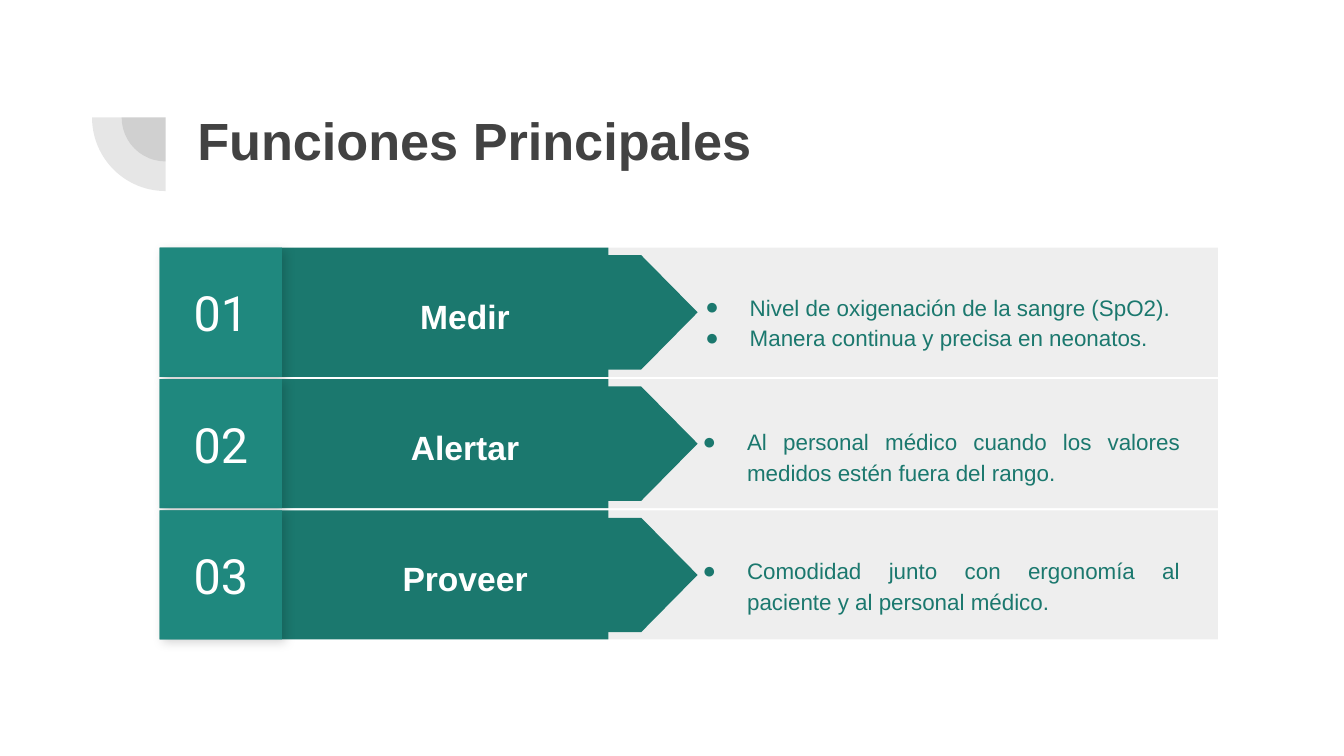
import dataclasses

import lxml.etree
import pptx
import pptx.dml.color
import pptx.enum.shapes
import pptx.enum.text
import pptx.oxml
import pptx.oxml.ns
import pptx.util

Cm = pptx.util.Cm
Pt = pptx.util.Pt
SHAPE = pptx.enum.shapes.MSO_SHAPE
ALIGN = pptx.enum.text.PP_ALIGN
ANCHOR = pptx.enum.text.MSO_ANCHOR
qn = pptx.oxml.ns.qn


@dataclasses.dataclass(frozen=True)
class Theme:
    dark: str = "424242"
    panel: str = "EEEEEE"
    band: str = "1B786E"
    badge: str = "1F887E"
    badge_base: str = "1D7E74"
    light: str = "FFFFFF"
    font: str = "Arial"
    number_font: str = "Roboto"
    title_size: int = 28
    number_size: int = 26
    label_size: int = 18
    body_size: int = 12
    inset: float = 0.25


def set_values(target, values):
    for name, value in values.items():
        setattr(target, name, value)


def add_child(parent, tag, **attributes):
    return lxml.etree.SubElement(parent, qn(tag), attributes)


class SlideBuilder:
    def __init__(self, slide, theme):
        self.slide = slide
        self.theme = theme
        self.shapes = slide.shapes

    def start_group(self):
        """Send the following shapes to a new group."""
        self.shapes = self.slide.shapes.add_group_shape().shapes

    def shape(self, kind, left, top, width, height, color):
        shape = self.shapes.add_shape(kind, Cm(left), Cm(top), Cm(width), Cm(height))
        shape.shadow.inherit = False
        shape.fill.solid()
        shape.fill.fore_color.rgb = pptx.dml.color.RGBColor.from_string(color)
        shape.line.fill.background()
        return shape

    def quarter_disc(self, center_x, center_y, radius):
        disc = self.shape(SHAPE.PIE, center_x - radius, center_y - radius,
                          2 * radius, 2 * radius, self.theme.dark)
        disc.adjustments[0], disc.adjustments[1] = 54, 108
        color = disc._element.spPr.find(qn("a:solidFill"))[0]
        add_child(color, "a:alpha", val="13000")

    def arrow(self, center_x, center_y, length, thickness):
        arrow = self.shape(SHAPE.FLOWCHART_OFFPAGE_CONNECTOR,
                           center_x - thickness / 2, center_y - length / 2,
                           thickness, length, self.theme.band)
        arrow.rotation = 270

    def badge(self, number, left, top, width, height):
        base = self.shape(SHAPE.RECTANGLE, left, top, width, height, self.theme.badge_base)
        effects = base._element.spPr.find(qn("a:effectLst"))
        shadow = add_child(effects, "a:outerShdw", blurRad=str(Pt(5.6)),
                           dist=str(Pt(2.2)), dir="2700000", rotWithShape="0")
        color = add_child(shadow, "a:srgbClr", val="000000")
        add_child(color, "a:alpha", val="17000")
        face = self.shape(SHAPE.RECTANGLE, left, top, width, height, self.theme.badge)
        self.fill_text(face, [number], self.theme.light, ALIGN.CENTER,
                       {"name": self.theme.number_font, "size": Pt(self.theme.number_size)})

    def text(self, left, top, width, height, lines, color, align, font, **options):
        box = self.shapes.add_textbox(Cm(left), Cm(top), Cm(width), Cm(height))
        self.fill_text(box, lines, color, align, font, spacing=1.15, **options)

    def fill_text(self, shape, lines, color, align, font, spacing=1.0, bullets=False,
                  top_inset=None, anchor=ANCHOR.MIDDLE):
        frame = shape.text_frame
        inset = Cm(self.theme.inset)
        set_values(frame, {
            "word_wrap": True, "vertical_anchor": anchor,
            "auto_size": pptx.enum.text.MSO_AUTO_SIZE.NONE,
            "margin_left": inset, "margin_right": inset, "margin_bottom": inset,
            "margin_top": inset if top_inset is None else Cm(top_inset),
        })
        for index, line in enumerate(lines):
            paragraph = frame.add_paragraph() if index else frame.paragraphs[0]
            set_values(paragraph, {"alignment": align, "line_spacing": spacing,
                                   "space_before": Pt(0)})
            if bullets:
                self.bullet(paragraph, color)
            run = paragraph.add_run()
            run.text = line
            set_values(run.font, {"name": self.theme.font, **font})
            run.font.color.rgb = pptx.dml.color.RGBColor.from_string(color)

    def bullet(self, paragraph, color):
        properties = paragraph._p.get_or_add_pPr()
        properties.set("marL", str(Cm(1.27)))
        properties.set("indent", str(Cm(-0.84)))
        add_child(add_child(properties, "a:buClr"), "a:srgbClr", val=color)
        add_child(properties, "a:buFont", typeface=self.theme.font)
        add_child(properties, "a:buChar", char="●")

    def title(self, text, left, top, width, height):
        title = self.slide.shapes.title
        set_values(title, {"left": Cm(left), "top": Cm(top),
                           "width": Cm(width), "height": Cm(height)})
        self.fill_text(title, [text], self.theme.dark, ALIGN.LEFT,
                       {"size": Pt(self.theme.title_size), "bold": True}, anchor=ANCHOR.TOP)

    def function_row(self, top, height, number, label, details, detail_box):
        theme = self.theme
        self.start_group()
        self.shape(SHAPE.RECTANGLE, 10.19, top, 12.83, height, theme.panel)
        self.shape(SHAPE.RECTANGLE, 5.33, top, 6.17, height, theme.band)
        self.arrow(10.52, top + height / 2, 5.33, 2.16)
        self.text(5.54, top + 0.29, 6.5, 1.88, [label], theme.light, ALIGN.CENTER,
                  {"size": Pt(theme.label_size), "bold": True})
        self.badge(number, 3.02, top, 2.31, height)
        left, offset, box_height, top_inset = detail_box
        self.text(left, top + offset, 9.96, box_height, details, theme.band, ALIGN.JUSTIFY,
                  {"size": Pt(theme.body_size)}, bullets=True, top_inset=top_inset)


# label, details, detail box (left, offset from the row top, height, top inset)
FUNCTIONS = [
    ("Medir", ["Nivel de oxigenación de la sangre (SpO2).",
               "Manera continua y precisa en neonatos."], (12.65, 0, 2.26, 0.74)),
    ("Alertar", ["Al personal médico cuando los valores medidos estén fuera del rango."],
     (12.6, 0, 2.41, 0.72)),
    ("Proveer", ["Comodidad junto con ergonomía al paciente y al personal médico."],
     (12.6, 0.19, 2.41, 0.25)),
]
FIRST_ROW_TOP, ROW_PITCH, ROW_HEIGHT = 4.68, 2.48, 2.44


def main():
    presentation = pptx.Presentation()
    set_values(presentation, {"slide_width": Cm(25.4), "slide_height": Cm(14.28)})
    slide = presentation.slides.add_slide(presentation.slide_layouts[5])
    builder = SlideBuilder(slide, Theme())

    builder.title("Funciones Principales", 3.48, 1.8, 19.53, 2.18)
    builder.start_group()
    for radius in (0.83, 1.39):
        builder.quarter_disc(3.13, 2.22, radius)

    for index, (label, details, detail_box) in enumerate(FUNCTIONS):
        builder.function_row(FIRST_ROW_TOP + index * ROW_PITCH, ROW_HEIGHT,
                             f"{index + 1:02d}", label, details, detail_box)

    presentation.save("out.pptx")


if __name__ == "__main__":
    main()
